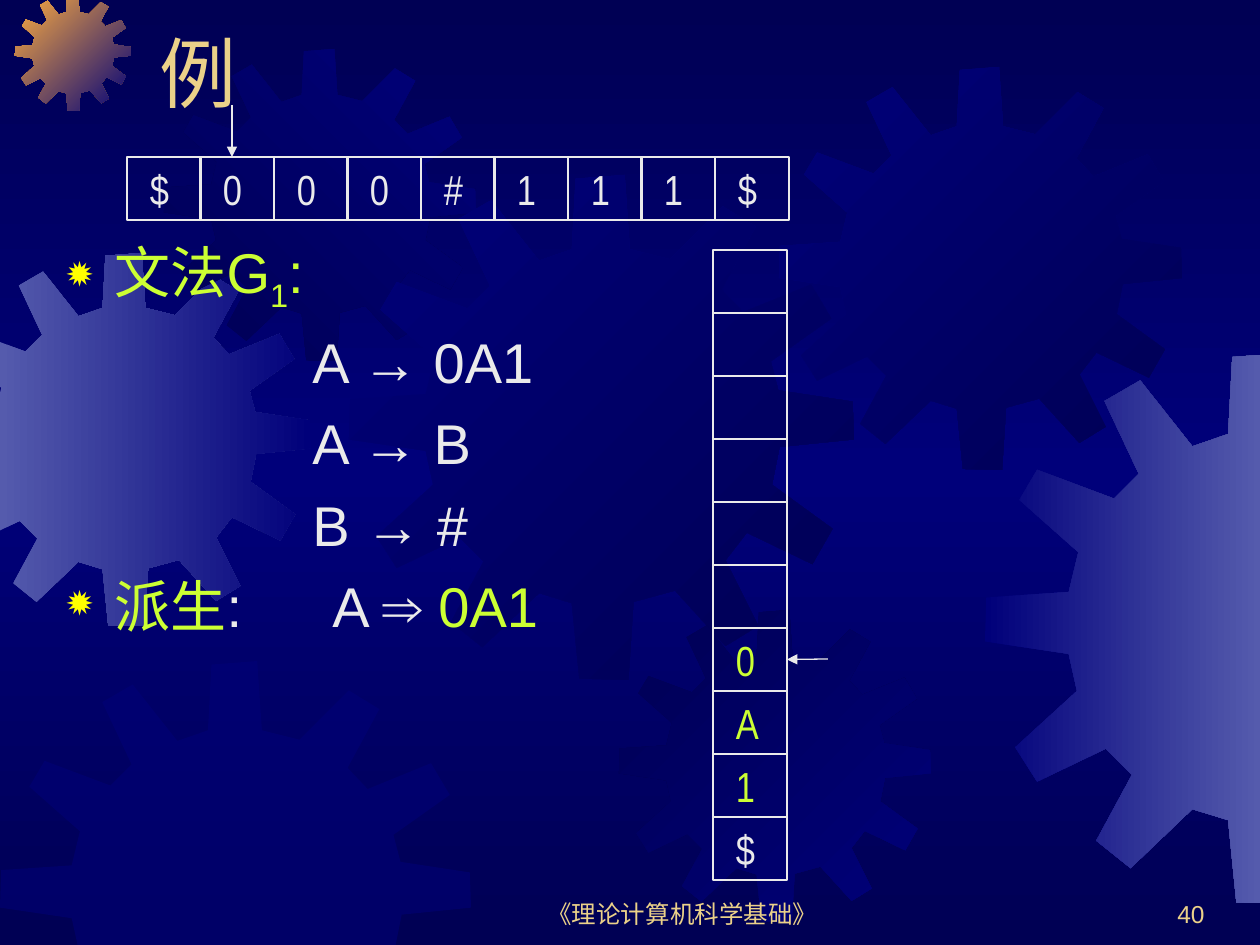
from copy import deepcopy

from lxml.etree import SubElement
from pptx import Presentation
from pptx.dml.color import RGBColor
from pptx.enum.shapes import MSO_CONNECTOR, MSO_SHAPE
from pptx.enum.text import MSO_ANCHOR, PP_ALIGN
from pptx.oxml.ns import qn
from pptx.util import Pt

PX = 914400 / 126
WIDTH, HEIGHT = 1260, 945
NAVY, BLUE, LAVENDER, ORANGE = "000054", "00007A", "555BAD", "FCAB40"
GOLD, LIME, YELLOW, LIGHT = "EBD189", "CCFF33", "FFFF00", "EAEAEA"
CELL_W, CELL_H = 74, 63
GEAR_SIZE = 401
GEAR = [
    (255, 67), (223, 59), (219, 0), (180, 3), (177, 59), (151, 68), (113, 20),
    (87, 35), (112, 88), (94, 106), (38, 85), (25, 107), (68, 145), (61, 174),
    (1, 178), (0, 210), (61, 219), (67, 246), (22, 287), (38, 312), (88, 288),
    (107, 307), (81, 355), (106, 375), (151, 332), (177, 340), (183, 400),
    (222, 401), (226, 339), (259, 330), (299, 374), (325, 358), (299, 306),
    (316, 284), (368, 309), (384, 281), (336, 246), (342, 216), (401, 210),
    (400, 180), (341, 171), (335, 148), (383, 114), (367, 87), (313, 109),
    (296, 91), (323, 41), (297, 25),
]
GEARS = [
    (-62, 253, 373, (LAVENDER, BLUE), 0),
    (15, -5, 116, (ORANGE, BLUE), 45),
    (164, 49, 312, (NAVY, BLUE), 315),
    (349, 175, 505, (BLUE, NAVY), 45),
    (0, 661, 471, (BLUE,), 0),
    (619, 610, 312, (NAVY, BLUE), 45),
    (779, 67, 403, (BLUE, NAVY), 45),
    (985, 353, 551, (BLUE, LAVENDER), 0),
]


def px(*lengths):
    """Turn pixel lengths into EMU."""
    return [round(n * PX) for n in lengths]


def rgb(color):
    """Turn a hex string into a colour."""
    return RGBColor.from_string(color)


def set_gradient(fill, element, colors, angle):
    """Fill with evenly spaced colours along a clockwise angle."""
    fill.gradient()
    fill.gradient_angle = -angle % 360
    stops = element.find(".//" + qn("a:gsLst"))
    while len(stops) < len(colors):
        stops.append(deepcopy(stops[-1]))
    for i, (stop, color) in enumerate(zip(fill.gradient_stops, colors)):
        stop.color.rgb = rgb(color)
        stop.position = i / (len(colors) - 1)


def clip(points, axis, limit, sign):
    """Cut a polygon along one edge of the slide."""
    kept = []
    for a, b in zip(points, points[1:] + points[:1]):
        da, db = sign * (a[axis] - limit), sign * (b[axis] - limit)
        if da >= 0:
            kept.append(a)
        if da * db < 0:
            t = da / (da - db)
            kept.append(tuple(m + t * (n - m) for m, n in zip(a, b)))
    return kept


def add_gear(shapes, left, top, size, colors, angle):
    """Draw a gear, cut off at the slide edges."""
    k = size / GEAR_SIZE
    points = [(left + x * k, top + y * k) for x, y in GEAR]
    for axis, limit, sign in ((0, 0, 1), (0, WIDTH, -1), (1, 0, 1), (1, HEIGHT, -1)):
        points = clip(points, axis, limit, sign)
    points = [px(*point) for point in points]
    builder = shapes.build_freeform(*points[0])
    builder.add_line_segments(points[1:], close=True)
    sp = builder.convert_to_shape()
    sp.shadow.inherit = False
    sp.line.fill.background()
    if len(colors) > 1:
        set_gradient(sp.fill, sp._element, colors, angle)
    else:
        sp.fill.solid()
        sp.fill.fore_color.rgb = rgb(colors[0])
        clr = sp._element.spPr.find(".//" + qn("a:srgbClr"))
        SubElement(clr, qn("a:alpha"), val="50000")


def add_run(p, text, size, color, font="Arial"):
    """Append a formatted run to a paragraph."""
    r = p.add_run()
    r.text = text
    r.font.size = Pt(size)
    r.font.name = font
    r.font.color.rgb = rgb(color)
    return r


def add_text(shapes, box, anchor=MSO_ANCHOR.BOTTOM):
    """Add a wrapping text box and return its text frame."""
    tf = shapes.add_textbox(*px(*box)).text_frame
    tf.word_wrap = True
    tf.vertical_anchor = anchor
    return tf


def add_label(shapes, box, text, size, align):
    """Add a one-line gold text."""
    p = add_text(shapes, box).paragraphs[0]
    p.alignment = align
    add_run(p, text, size, GOLD)


def set_indent(p, left, hanging=0, bullet=False, tab=None):
    """Set the indent, star bullet and tab stop of a paragraph."""
    pPr = p._p.get_or_add_pPr()
    pPr.set("marL", str(px(left)[0]))
    pPr.set("indent", str(-px(hanging)[0]))
    if bullet:
        SubElement(SubElement(pPr, qn("a:buClr")), qn("a:srgbClr"), val=YELLOW)
        SubElement(pPr, qn("a:buSzPct"), val="80000")
        SubElement(pPr, qn("a:buChar"), char="✹")
    if tab:
        tabs = SubElement(pPr, qn("a:tabLst"))
        SubElement(tabs, qn("a:tab"), pos=str(px(tab)[0]), algn="l")


def add_grammar(shapes):
    """Write the grammar, its rules and the derivation."""
    tf = add_text(shapes, (54, 231, 627, 640), MSO_ANCHOR.TOP)
    p = tf.paragraphs[0]
    set_indent(p, 48, 48, bullet=True)
    add_run(p, "文法G", 32, LIME)
    add_run(p, "1", 32, LIME)._r.get_or_add_rPr().set("baseline", "-25000")
    add_run(p, ":", 32, LIME)
    for rule in ("A → 0A1", "A → B", "B → #"):
        p = tf.add_paragraph()
        set_indent(p, 246)
        p.space_before = Pt(8)
        add_run(p, rule, 32, LIGHT)
    p = tf.add_paragraph()
    set_indent(p, 48, 48, bullet=True, tab=266)
    p.space_before = Pt(8)
    for text, color in (("派生", LIME), (":\tA ⇒ ", LIGHT), ("0A1", LIME)):
        add_run(p, text, 32, color)


def add_cell(shapes, left, top, text, color):
    """Add an outlined cell holding one symbol."""
    sp = shapes.add_shape(MSO_SHAPE.RECTANGLE, *px(left, top, CELL_W, CELL_H))
    sp.shadow.inherit = False
    sp.fill.background()
    sp.line.color.rgb = rgb(LIGHT)
    sp.line.width = Pt(0.75)
    if text:
        tf = sp.text_frame
        tf.margin_left, tf.margin_right = px(23, 0)
        tf.vertical_anchor = MSO_ANCHOR.MIDDLE
        p = tf.paragraphs[0]
        p.alignment = PP_ALIGN.LEFT
        add_run(p, text, 24, color, "Arial Narrow")
    return sp


def add_arrow(shapes, ends, arrow_end):
    """Add a thin line with a triangle at its headEnd or tailEnd."""
    line = shapes.add_connector(MSO_CONNECTOR.STRAIGHT, *px(*ends))
    line.line.color.rgb = rgb(LIGHT)
    line.line.width = Pt(0.75)
    SubElement(line.line._get_or_add_ln(), qn("a:" + arrow_end), type="triangle")
    SubElement(line._element.spPr, qn("a:effectLst"))
    return line


def add_tape(shapes):
    """Draw the input tape and its reading head."""
    for i, symbol in enumerate("$000#111$"):
        add_cell(shapes, 127 + i * 147 // 2, 157, symbol, LIGHT)
    add_arrow(shapes, (232, 105, 232, 157), "tailEnd")


def add_stack(shapes):
    """Draw the stack and the pointer to its top."""
    symbols = [""] * 6 + list("0A1$")
    cells = [add_cell(shapes, 713, 250 + i * CELL_H, symbol, LIGHT if symbol == "$" else LIME)
             for i, symbol in enumerate(symbols)]
    pointer = add_arrow(shapes, (787, 659, 828, 659), "headEnd")
    pointer.begin_connect(cells[symbols.index("0")], 3)


def main():
    """Build the slide and save it."""
    prs = Presentation()
    prs.slide_width, prs.slide_height = px(WIDTH, HEIGHT)
    s = prs.slides.add_slide(prs.slide_layouts[6])
    set_gradient(s.background.fill, s._element, (NAVY, BLUE, NAVY), 90)
    for gear in GEARS:
        add_gear(s.shapes, *gear)
    add_label(s.shapes, (483, 872, 399, 63), "《理论计算机科学基础》", 14, PP_ALIGN.CENTER)
    add_label(s.shapes, (955, 872, 262, 63), "40", 14, PP_ALIGN.RIGHT)
    add_label(s.shapes, (147, -34, 1071, 158), "例", 44, PP_ALIGN.LEFT)
    add_grammar(s.shapes)
    add_tape(s.shapes.add_group_shape().shapes)
    add_stack(s.shapes.add_group_shape().shapes)
    prs.save("out.pptx")


if __name__ == "__main__":
    main()
